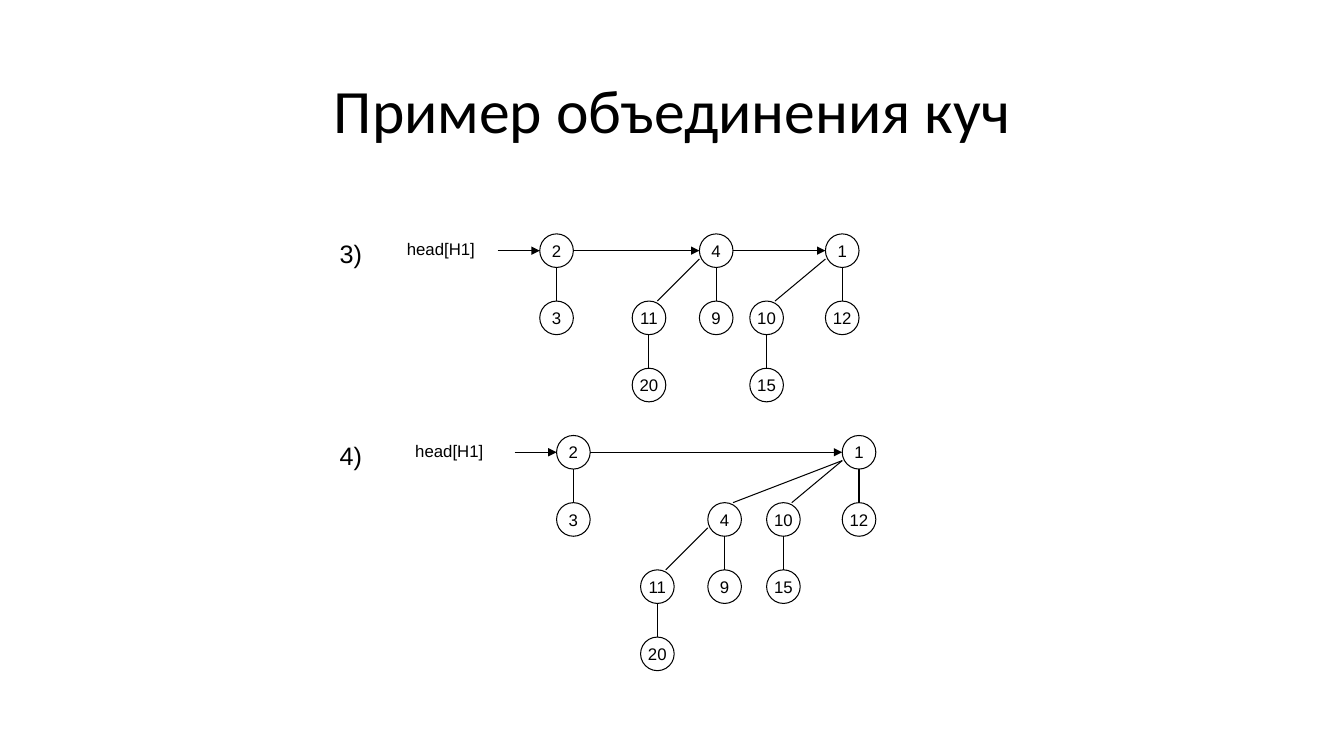
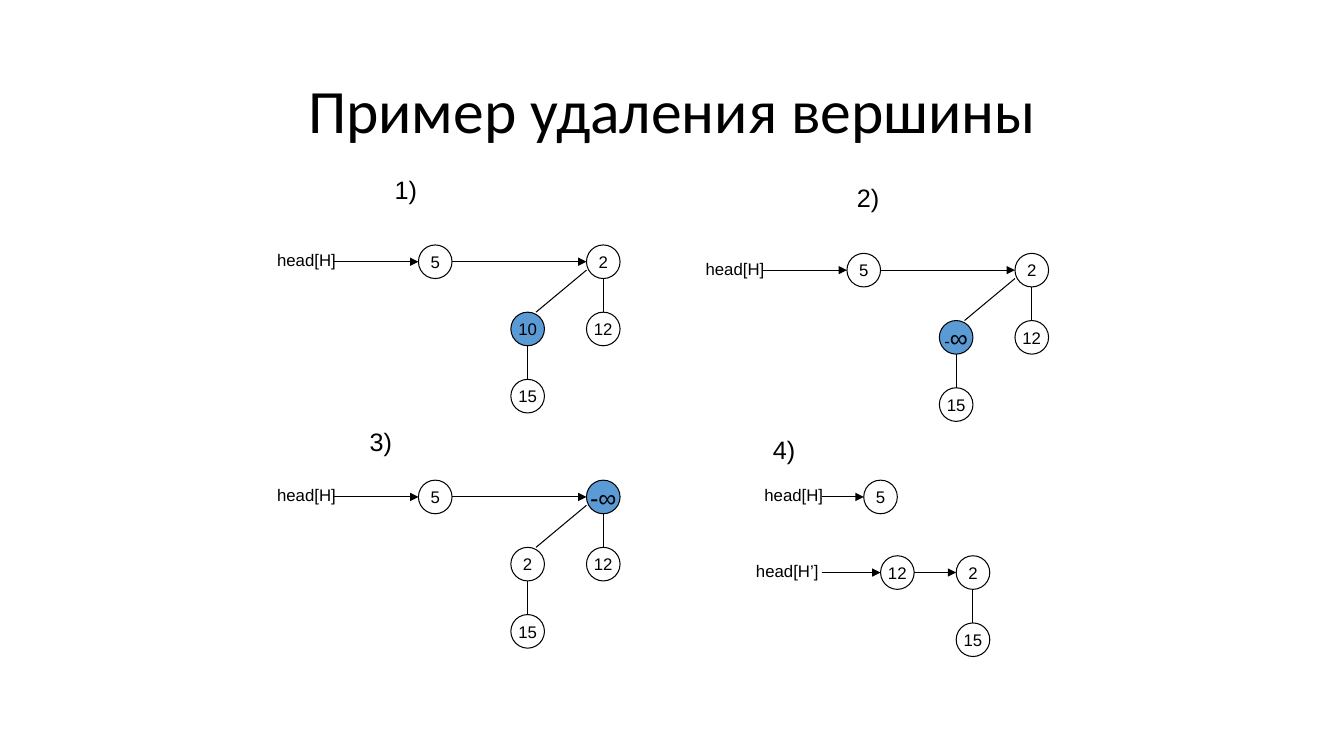
from lxml import etree
from pptx import Presentation
from pptx.dml.color import RGBColor
from pptx.enum.shapes import MSO_CONNECTOR as CONNECTOR, MSO_SHAPE as SHAPE
from pptx.enum.text import MSO_ANCHOR as ANCHOR, MSO_AUTO_SIZE as AUTO_SIZE, PP_ALIGN as ALIGN
from pptx.oxml.ns import qn
from pptx.util import Inches, Pt

BLACK = RGBColor(0x00, 0x00, 0x00)
BLUE = RGBColor(0x5B, 0x9B, 0xD5)

# All lengths below are in grid units of 1/12 inch.
UNIT = Inches(1) // 12
NODE = 4
LEVEL = 8
BODY_SIZE = 12
NUMBER_SIZE = 18


def write(shape, *runs):
    """Fill the first paragraph with (text, size) runs in black Arial."""
    p = shape.text_frame.paragraphs[0]
    for text, size in runs:
        r = p.add_run()
        r.text = text
        r.font.name = "Arial"
        r.font.size = Pt(size)
        r.font.color.rgb = BLACK
    return p


def add_line(s, origin, start, end, arrow=False):
    (left, top), (x1, y1), (x2, y2) = origin, start, end
    line = s.shapes.add_connector(
        CONNECTOR.STRAIGHT,
        left + x1 * UNIT, top + y1 * UNIT, left + x2 * UNIT, top + y2 * UNIT)
    line.line.color.rgb = BLACK
    line.line.width = Pt(0.75)
    if arrow:
        ln = line.line._get_or_add_ln()
        etree.SubElement(ln, qn("a:tailEnd"), type="triangle")
    etree.SubElement(line._element.spPr, qn("a:effectLst"))


# A node is (runs or key, column from the head label, level, parent index).
# A heap is (head text, column, row, arrow start, nodes, index of the blue node).
merge_before = [
    ("2", 17, 0, None), ("4", 36, 0, None), ("1", 51, 0, None),
    ("3", 17, 1, 0), ("11", 28, 1, 1), ("9", 36, 1, 1),
    ("10", 42, 1, 2), ("12", 51, 1, 2), ("20", 28, 2, 4), ("15", 42, 2, 6),
]
merge_after = [
    ("2", 18, 0, None), ("1", 52, 0, None), ("3", 18, 1, 0),
    ("4", 36, 1, 1), ("10", 43, 1, 1), ("12", 52, 1, 1),
    ("11", 28, 2, 3), ("9", 36, 2, 3), ("15", 43, 2, 4), ("20", 28, 3, 6),
]
deletion_heaps = [
    ("head[H]", col, row, 8,
     [("5", 18, 0, None), (root, 38, 0, None), (child, 29, 1, 1),
      ("12", 38, 1, 1), ("15", 29, 2, 2)], blue)
    for col, row, root, child, blue in [
        (0, 9, "2", "10", 2),
        (51, 10, "2", [("-", BODY_SIZE), ("∞", 18)], 2),
        (0, 37, [("-∞", 18)], "2", 1),
    ]
]
split_heaps = [
    ("head[H]", 58, 37, 8, [("5", 13, 0, None)], None),
    ("head[H’]", 57, 46, 9,
     [("12", 16, 0, None), ("2", 25, 0, None), ("15", 25, 1, 1)], None),
]

slides = [
    ("Пример объединения куч", (Inches(3.27), Inches(2.32)),
     [("3)", 0, 0), ("4)", 0, 24)],
     [("head[H1]", 8, 0, 12, merge_before, None),
      ("head[H1]", 9, 24, 13, merge_after, None)]),
    ("Пример удаления вершины", (Inches(2.65), Inches(1.68)),
     [("1)", 14, 0), ("2)", 69, 1), ("3)", 11, 30), ("4)", 59, 31)],
     deletion_heaps + split_heaps),
]

prs = Presentation()
prs.slide_width, prs.slide_height = Inches(13.33), Inches(7.5)

for title_text, origin, numbers, heaps in slides:
    s = prs.slides.add_slide(prs.slide_layouts[5])
    left, top = origin

    title = s.shapes.title
    title.left, title.top = Inches(0.92), Inches(0.4)
    title.width, title.height = Inches(11.5), Inches(1.45)
    tf = title.text_frame
    tf.text = title_text
    tf.vertical_anchor = ANCHOR.MIDDLE
    p = tf.paragraphs[0]
    p.alignment = ALIGN.CENTER
    p.line_spacing = 0.9
    p.font.name = "Calibri"
    p.font.size = Pt(44)
    p.font.color.rgb = BLACK

    labels = [(text, col, row, 8, NUMBER_SIZE) for text, col, row in numbers]
    labels += [(heap[0], heap[1], heap[2], 12, BODY_SIZE) for heap in heaps]
    for text, col, row, width, size in labels:
        box = s.shapes.add_textbox(
            left + col * UNIT, top + row * UNIT, width * UNIT, Pt(size * 1.2 + 7.2))
        box.text_frame.word_wrap = True
        box.text_frame.auto_size = AUTO_SIZE.SHAPE_TO_FIT_TEXT
        write(box, (text, size))

    for _, head_col, head_row, arrow_start, nodes, blue in heaps:
        spots = [(head_col + col, head_row + level * LEVEL) for _, col, level, _ in nodes]
        arrow_x, arrow_y = head_col + arrow_start, head_row + NODE / 2

        for i, (key, _, _, parent) in enumerate(nodes):
            x, y = spots[i]
            sp = s.shapes.add_shape(
                SHAPE.OVAL, int(left + x * UNIT), int(top + y * UNIT),
                NODE * UNIT, NODE * UNIT)
            sp.shadow.inherit = False
            sp.line.color.rgb = BLACK
            sp.line.width = Pt(0.75)
            if i == blue:
                sp.fill.solid()
                sp.fill.fore_color.rgb = BLUE
            else:
                sp.fill.background()
            sp.text_frame.word_wrap = False
            sp.text_frame.vertical_anchor = ANCHOR.MIDDLE
            runs = [(key, BODY_SIZE)] if isinstance(key, str) else key
            write(sp, *runs).alignment = ALIGN.CENTER

            if parent is None:
                add_line(s, origin, (arrow_x, int(arrow_y)), (x, int(arrow_y)), arrow=True)
                arrow_x = x + NODE
                continue
            parent_x, parent_y = spots[parent]
            if parent_x == x:
                middle = x + NODE // 2
                add_line(s, origin, (middle, parent_y + NODE), (middle, y))
            else:
                add_line(s, origin, (x + 3, y), (parent_x, parent_y + 3))

prs.save("out.pptx")
